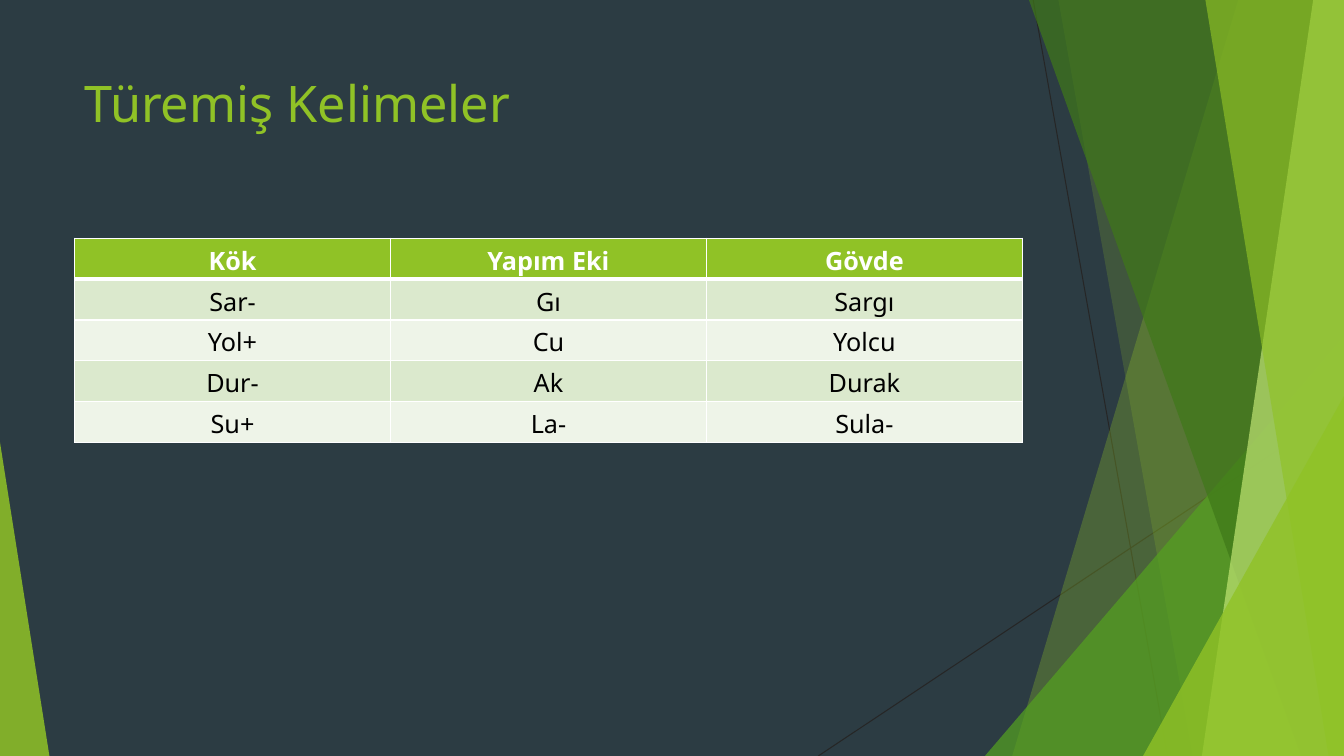
from lxml import etree
from pptx import Presentation
from pptx.dml.color import RGBColor
from pptx.enum.shapes import MSO_CONNECTOR, MSO_SHAPE
from pptx.enum.text import MSO_ANCHOR, PP_ALIGN
from pptx.oxml import parse_xml
from pptx.oxml.ns import nsdecls, qn
from pptx.util import Pt

STRAIGHT = MSO_CONNECTOR.STRAIGHT
TRIANGLE = MSO_SHAPE.ISOSCELES_TRIANGLE
TOP = MSO_ANCHOR.TOP
CENTER = PP_ALIGN.CENTER

BACKGROUND = RGBColor(0x2C, 0x3C, 0x43)
LINE_GRAY = RGBColor(0x26, 0x26, 0x26)
LIME = RGBColor(0x90, 0xC2, 0x26)
GREEN = RGBColor(0x54, 0xA0, 0x21)
DARK_GREEN = RGBColor(0x3F, 0x78, 0x19)
PALE_LIME = RGBColor(0xC0, 0xE4, 0x74)
ROW_TINT = RGBColor(0xDB, 0xE9, 0xCD)
ROW_LIGHT = RGBColor(0xEE, 0xF4, 0xE8)
WHITE = RGBColor(0xFF, 0xFF, 0xFF)
BLACK = RGBColor(0x00, 0x00, 0x00)

FONT = "Noto Sans"
WIDTH, HEIGHT = 960, 540


def paint(shape, color, opacity):
    shape.shadow.inherit = False
    shape.line.fill.background()
    shape.fill.solid()
    shape.fill.fore_color.rgb = color
    color_element = shape.fill._xPr.find(qn("a:solidFill"))[0]
    etree.SubElement(color_element, qn("a:alpha"), val=str(opacity * 1000))


def format_text(paragraph, size, color, bold=False):
    font = paragraph.runs[0].font
    font.name = FONT
    font.size = Pt(size)
    font.bold = bold
    font.color.rgb = color


presentation = Presentation()
presentation.slide_width = Pt(WIDTH)
presentation.slide_height = Pt(HEIGHT)
slide = presentation.slides.add_slide(presentation.slide_layouts[6])
slide.background.fill.solid()
slide.background.fill.fore_color.rgb = BACKGROUND
shapes = slide.shapes

# Thin crossing lines
for x1, y1, x2, y2 in [(738, 0, 834, HEIGHT), (WIDTH, 290, 584.5, HEIGHT)]:
    connector = shapes.add_connector(STRAIGHT, Pt(x1), Pt(y1), Pt(x2), Pt(y2))
    connector.line.color.rgb = LINE_GRAY
    connector.line.width = Pt(0.75)
    etree.SubElement(connector._element.spPr, qn("a:effectLst"))

# Translucent facets, back to front; bands reach the right edge of the slide
# band: left at top, left at bottom; triangle: left, top, width, apex
facets = [
    ("band", (884.5, 723), LIME, 30),
    ("band", (756, 852), LIME, 20),
    ("triangle", (703.5, 240, 256.5, 1), GREEN, 72),
    ("band", (735, 929.5), DARK_GREEN, 70),
    ("band", (938, 858.5), PALE_LIME, 70),
    ("band", (861, 949), LIME, 65),
    ("triangle", (816.5, 283, 143.5, 1), LIME, 80),
    ("triangle", (0, 316, 35.3, 0), LIME, 85),
]
for kind, geometry, color, opacity in facets:
    if kind == "band":
        top_left, bottom_left = geometry
        builder = shapes.build_freeform(Pt(top_left), Pt(0))
        corners = [(WIDTH, 0), (WIDTH, HEIGHT), (bottom_left, HEIGHT)]
        builder.add_line_segments([(Pt(x), Pt(y)) for x, y in corners])
        facet = builder.convert_to_shape()
    else:
        left, top, width, apex = geometry
        facet = shapes.add_shape(TRIANGLE, Pt(left), Pt(top), Pt(width), Pt(HEIGHT - top))
        facet.adjustments[0] = apex
    paint(facet, color, opacity)

# Title
title = shapes.add_textbox(Pt(53.3), Pt(48), Pt(677), Pt(104))
title.text_frame.word_wrap = True
title.text_frame.vertical_anchor = TOP
title.text_frame.text = "Türemiş Kelimeler"
format_text(title.text_frame.paragraphs[0], 36, LIME)

# Word table
words = [
    ("Kök", "Yapım Eki", "Gövde"),
    ("Sar-", "Gı", "Sargı"),
    ("Yol+", "Cu", "Yolcu"),
    ("Dur-", "Ak", "Durak"),
    ("Su+", "La-", "Sula-"),
]
table = shapes.add_table(len(words), 3, Pt(53.3), Pt(170.2), Pt(677), Pt(146)).table
for row_index, row in enumerate(words):
    header = row_index == 0
    fill_color = LIME if header else (ROW_LIGHT, ROW_TINT)[row_index % 2]
    for column_index, word in enumerate(row):
        cell = table.cell(row_index, column_index)
        # The rule under the header is thicker than the other borders
        thick_side = {0: "B", 1: "T"}.get(row_index)
        for side in "LRTB":
            border_width = Pt(3 if side == thick_side else 1)
            cell._tc.get_or_add_tcPr().append(parse_xml(
                f'<a:ln{side} {nsdecls("a")} w="{border_width}"><a:solidFill>'
                f'<a:srgbClr val="{WHITE}"/></a:solidFill></a:ln{side}>'))
        cell.fill.solid()
        cell.fill.fore_color.rgb = fill_color
        cell.text_frame.text = word
        paragraph = cell.text_frame.paragraphs[0]
        paragraph.alignment = CENTER
        format_text(paragraph, 18, WHITE if header else BLACK, bold=header)

presentation.save("out.pptx")
